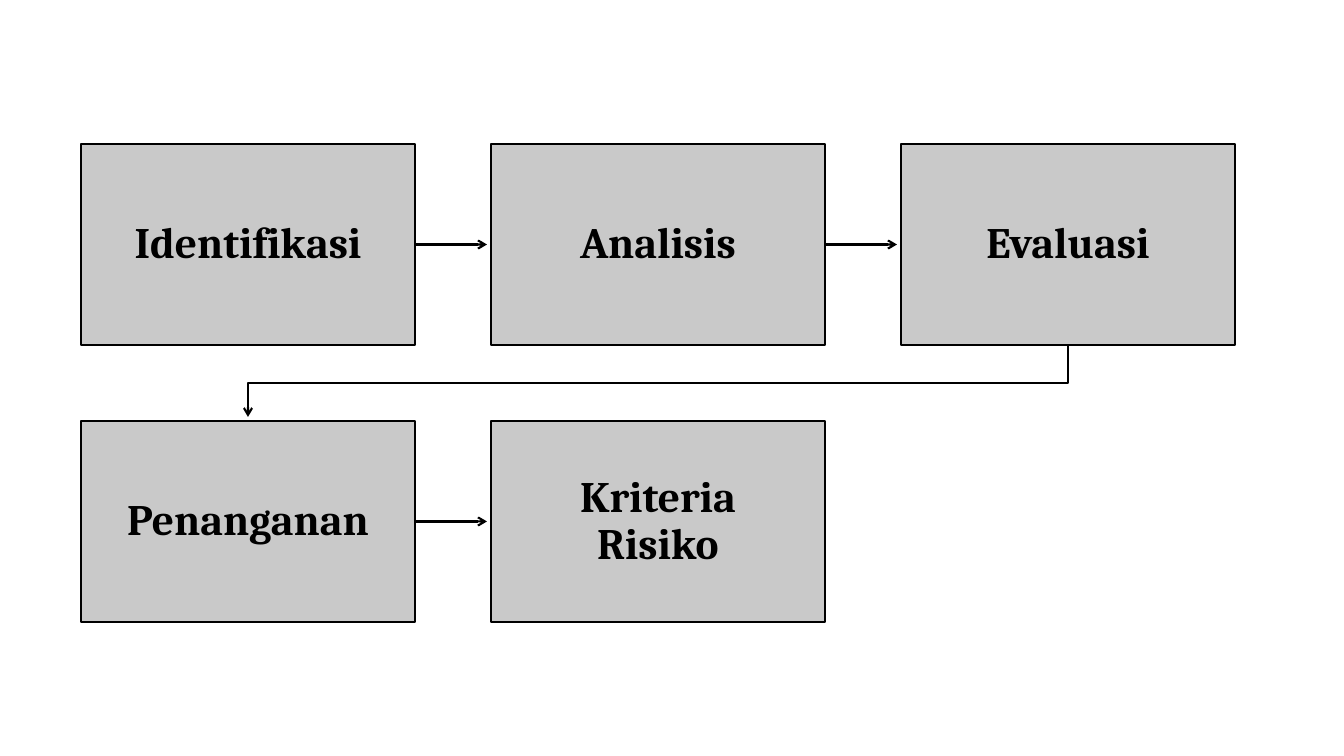
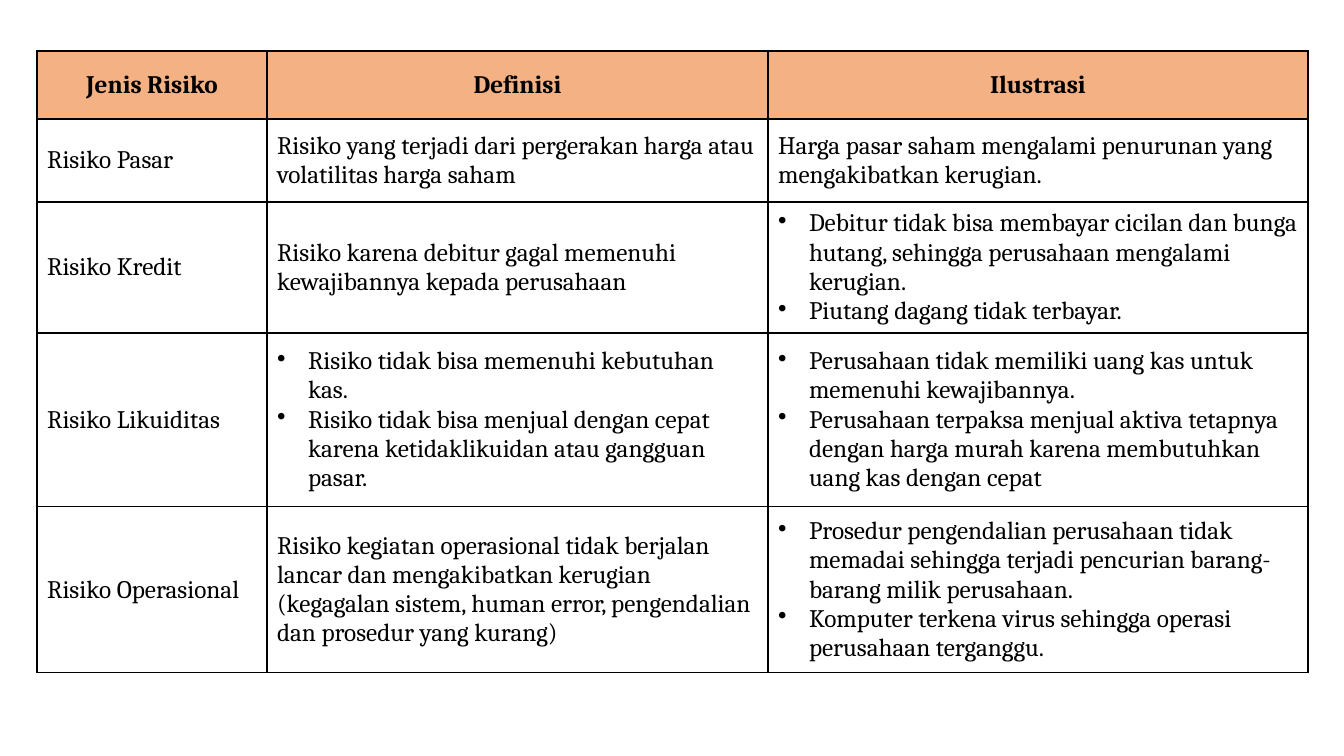
from pptx import Presentation
from pptx.dml.color import RGBColor
from pptx.enum.shapes import MSO_CONNECTOR, MSO_SHAPE
from pptx.enum.text import MSO_ANCHOR, PP_ALIGN
from pptx.oxml.ns import qn
from pptx.util import Emu, Pt
from lxml import etree

RECTANGLE = MSO_SHAPE.RECTANGLE
STRAIGHT = MSO_CONNECTOR.STRAIGHT
CENTER, LEFT = PP_ALIGN.CENTER, PP_ALIGN.LEFT
MIDDLE = MSO_ANCHOR.MIDDLE
RIGHT_SIDE = 3

# Shared style
PAGE_WIDTH, PAGE_HEIGHT = 1344, 756
SCALE = 12192000 / PAGE_WIDTH
FONT = "Cambria"
COLORS = {"ink": "000000", "step": "C9C9C9", "header": "F4B183"}

# Process steps, filled row by row
STEPS = ["Identifikasi", "Analisis", "Evaluasi", "Penanganan", "Kriteria Risiko"]
STEPS_PER_ROW = 3
STEP_LEFT, STEP_TOP, STEP_WIDTH, STEP_HEIGHT = 81, 144, 334, 201
STEP_GAP = 76
STEP_INSET = 24
ARROW_GAP = 4

# Risk table: a list in a cell becomes bullets
TABLE_LEFT, TABLE_TOP = 37, 51
COLUMN_WIDTHS = [230, 501, 540]
ROW_HEIGHTS = [68, 83, 131, 174, 166]
BULLET_INDENT = 31
RISKS = [
    ("Jenis Risiko", "Definisi", "Ilustrasi"),
    ("Risiko Pasar",
     "Risiko yang terjadi dari pergerakan harga atau volatilitas harga saham",
     "Harga pasar saham mengalami penurunan yang mengakibatkan kerugian."),
    ("Risiko Kredit",
     "Risiko karena debitur gagal memenuhi kewajibannya kepada perusahaan",
     ["Debitur tidak bisa membayar cicilan dan bunga hutang, sehingga perusahaan "
      "mengalami kerugian.",
      "Piutang dagang tidak terbayar."]),
    ("Risiko Likuiditas",
     ["Risiko tidak bisa memenuhi kebutuhan kas.",
      "Risiko tidak bisa menjual dengan cepat karena ketidaklikuidan atau "
      "gangguan pasar."],
     ["Perusahaan tidak memiliki uang kas untuk memenuhi kewajibannya.",
      "Perusahaan terpaksa menjual aktiva tetapnya dengan harga murah karena "
      "membutuhkan uang kas dengan cepat"]),
    ("Risiko Operasional",
     "Risiko kegiatan operasional tidak berjalan lancar dan mengakibatkan kerugian "
     "(kegagalan sistem, human error, pengendalian dan prosedur yang kurang)",
     ["Prosedur pengendalian perusahaan tidak memadai sehingga terjadi pencurian "
      "barang-barang milik perusahaan.",
      "Komputer terkena virus sehingga operasi perusahaan terganggu."]),
]


def px(value):
    return Emu(round(value * SCALE))


def color(name):
    return RGBColor.from_string(COLORS[name])


def style_text(para, size, bold, align):
    para.alignment = align
    para.font.name = FONT
    para.font.size = Pt(size)
    para.font.bold = bold
    para.font.color.rgb = color("ink")


def style_line(shape, width):
    shape.line.color.rgb = color("ink")
    shape.line.width = Pt(width)


def style_arrow(shape):
    style_line(shape, 1.5)
    properties = shape.element.spPr
    etree.SubElement(properties.find(qn("a:ln")), qn("a:tailEnd"), type="arrow")
    etree.SubElement(properties, qn("a:effectLst"))


def add_step(page, index, name):
    row, column = divmod(index, STEPS_PER_ROW)
    box = page.shapes.add_shape(
        RECTANGLE,
        px(STEP_LEFT + column * (STEP_WIDTH + STEP_GAP)),
        px(STEP_TOP + row * (STEP_HEIGHT + STEP_GAP)),
        px(STEP_WIDTH), px(STEP_HEIGHT))
    box.shadow.inherit = False
    box.fill.solid()
    box.fill.fore_color.rgb = color("step")
    style_line(box, 1)
    frame = box.text_frame
    frame.word_wrap = True
    frame.vertical_anchor = MIDDLE
    frame.margin_left = frame.margin_right = px(STEP_INSET)
    frame.margin_top = frame.margin_bottom = px(STEP_INSET)
    para = frame.paragraphs[0]
    para.text = name
    para.line_spacing = 0.9
    style_text(para, 31, True, CENTER)
    return box


def add_arrow(page, source, target):
    if source.top == target.top:
        middle = source.top + source.height // 2
        arrow = page.shapes.add_connector(
            STRAIGHT, source.left + source.width, middle,
            target.left - px(ARROW_GAP), middle)
        arrow.begin_connect(source, RIGHT_SIDE)
    else:
        # Bent arrow down to the next row
        start_x = source.left + source.width // 2
        start_y = source.top + source.height
        end_x = target.left + target.width // 2
        bend_y = (start_y + target.top) // 2
        builder = page.shapes.build_freeform(start_x, start_y)
        builder.add_line_segments(
            [(start_x, bend_y), (end_x, bend_y),
             (end_x, target.top - px(ARROW_GAP))], close=False)
        arrow = builder.convert_to_shape()
        arrow.fill.background()
    style_arrow(arrow)


def add_borders(cell):
    properties = cell._tc.get_or_add_tcPr()
    for side in ("lnL", "lnR", "lnT", "lnB"):
        line = etree.SubElement(properties, qn("a:" + side), w=str(Pt(1)))
        fill = etree.SubElement(line, qn("a:solidFill"))
        etree.SubElement(fill, qn("a:srgbClr"), val=COLORS["ink"])


def add_bullet(para):
    properties = para._p.get_or_add_pPr()
    properties.set("marL", str(px(BULLET_INDENT)))
    properties.set("indent", str(-px(BULLET_INDENT)))
    etree.SubElement(properties, qn("a:buChar"), char="•")


def fill_cell(cell, content, is_header):
    add_borders(cell)
    if is_header:
        cell.fill.solid()
        cell.fill.fore_color.rgb = color("header")
    else:
        cell.fill.background()
    cell.vertical_anchor = MIDDLE
    bulleted = isinstance(content, list)
    lines = content if bulleted else [content]
    frame = cell.text_frame
    for index, line in enumerate(lines):
        para = frame.add_paragraph() if index else frame.paragraphs[0]
        para.text = line
        if bulleted:
            add_bullet(para)
        style_text(para, 18, is_header, CENTER if is_header else LEFT)


def build_process(page):
    boxes = [add_step(page, index, name) for index, name in enumerate(STEPS)]
    for source, target in zip(boxes, boxes[1:]):
        add_arrow(page, source, target)


def build_risks(page):
    table = page.shapes.add_table(
        len(RISKS), len(COLUMN_WIDTHS), px(TABLE_LEFT), px(TABLE_TOP),
        px(sum(COLUMN_WIDTHS)), px(sum(ROW_HEIGHTS))).table
    table.horz_banding = False
    for column, width in zip(table.columns, COLUMN_WIDTHS):
        column.width = px(width)
    for row, height in zip(table.rows, ROW_HEIGHTS):
        row.height = px(height)
    for row_index, contents in enumerate(RISKS):
        for column_index, content in enumerate(contents):
            fill_cell(table.cell(row_index, column_index), content, row_index == 0)


def main():
    deck = Presentation()
    deck.slide_width, deck.slide_height = px(PAGE_WIDTH), px(PAGE_HEIGHT)
    blank = deck.slide_layouts[6]
    for build in (build_process, build_risks):
        build(deck.slides.add_slide(blank))
    deck.save("out.pptx")


if __name__ == "__main__":
    main()
